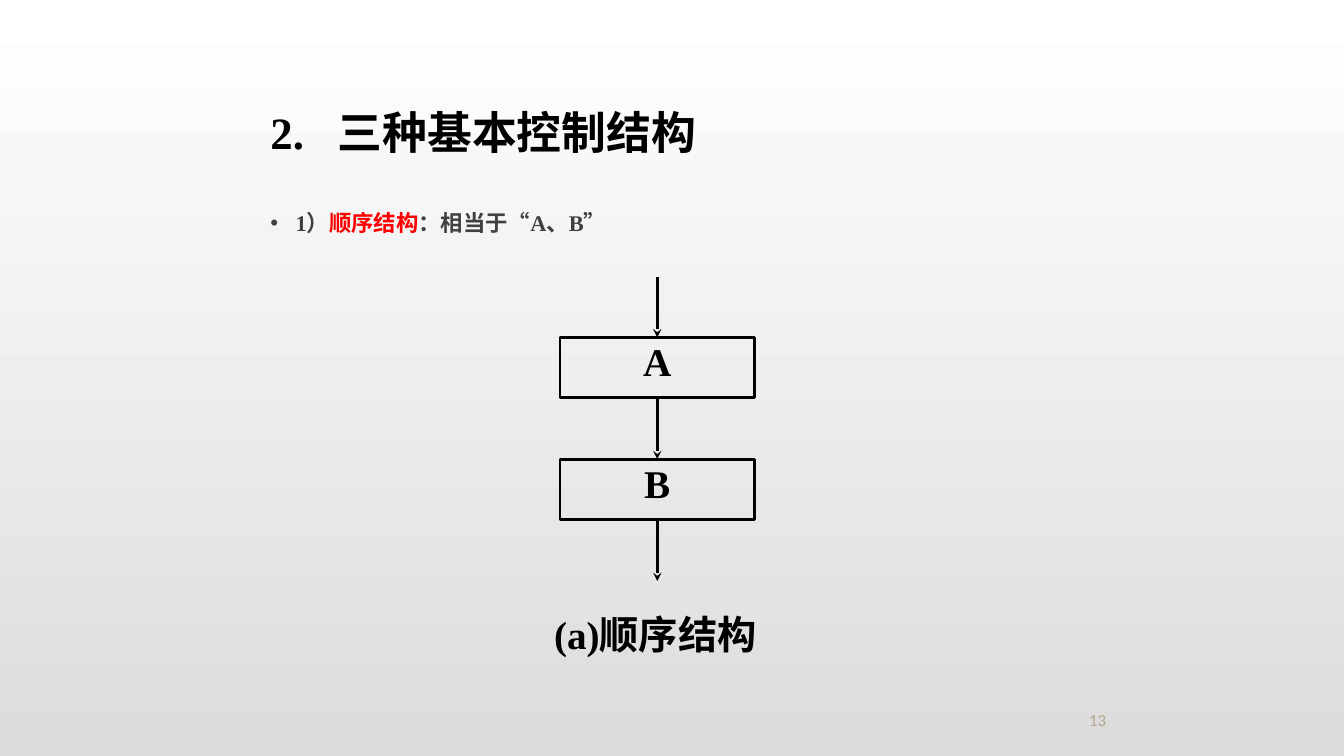
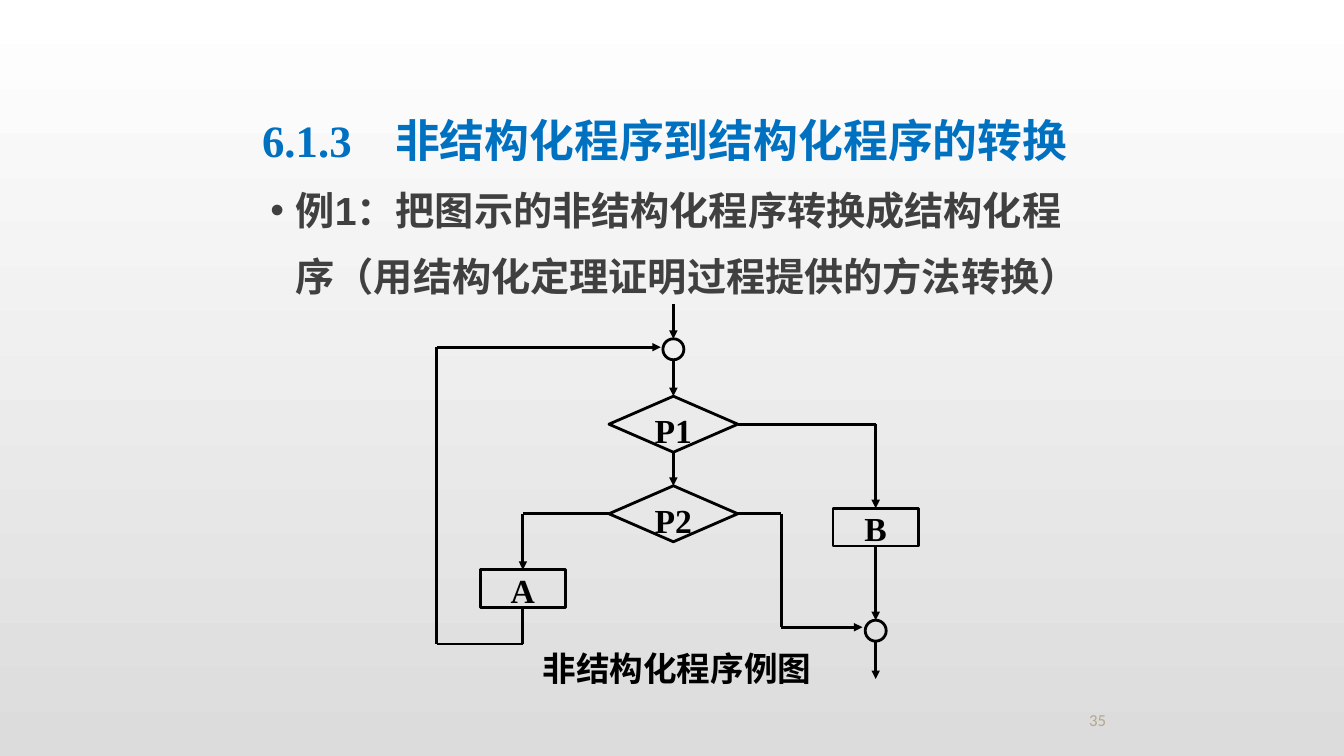
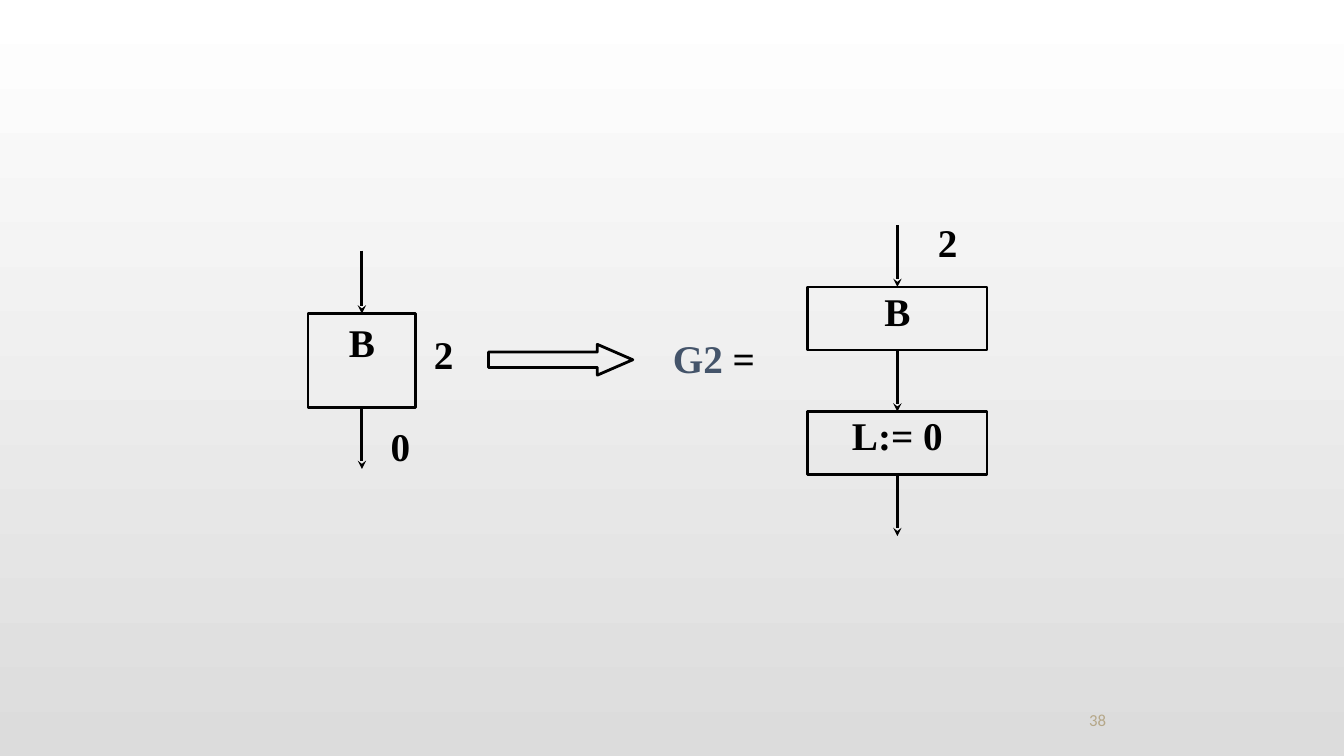
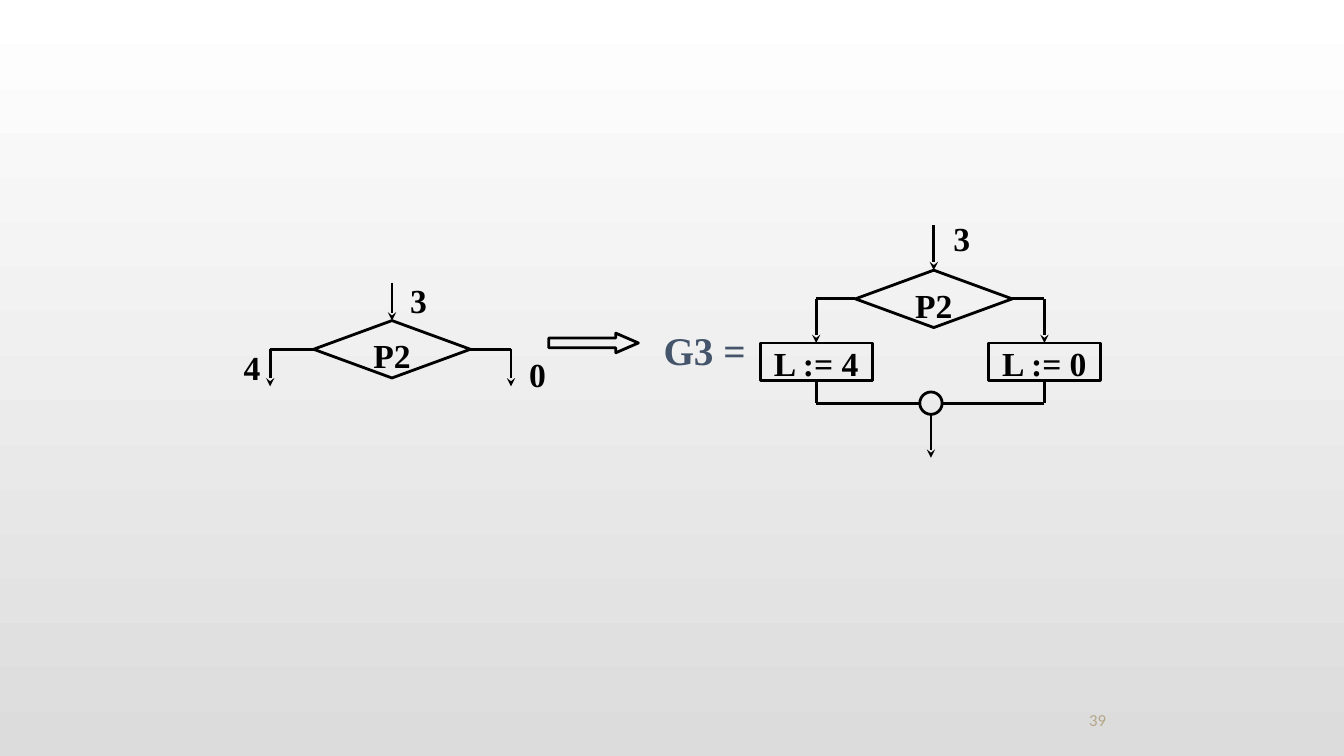
from dataclasses import dataclass, field
from typing import NamedTuple, Optional, Union

from lxml import etree
from pptx import Presentation
from pptx import util as u
from pptx.dml.color import RGBColor
from pptx.enum import shapes, text
from pptx.oxml import ns

Kind = shapes.MSO_SHAPE
Align = text.PP_ALIGN
Anchor = text.MSO_ANCHOR


# Theme: colours, fonts and type sizes
@dataclass(frozen=True)
class Theme:
    ink: str = "000000"
    body: str = "404040"
    red: str = "FF0000"
    blue: str = "0070C0"
    slate: str = "44546A"
    sand: str = "B5A788"
    top: str = "FFFFFF"
    base: str = "DCDCDC"
    serif: str = "Times New Roman"
    sans: str = "Arial"
    han: str = "Noto Sans CJK SC"
    small: str = "Calibri"
    title: int = 32
    big: int = 28
    mid: int = 24
    list: int = 16
    foot: int = 12
    stroke: int = 2


T = Theme()
TOP, LEFT, BOTTOM, RIGHT = range(4)


# Parts of a slide
class Area(NamedTuple):
    x: float
    y: float
    w: float
    h: float


class Run(NamedTuple):
    words: str
    color: str = T.ink
    font: str = T.serif
    bold: bool = True


class Dot(NamedTuple):
    x: float
    y: float


class Pin(NamedTuple):
    node: str
    side: int


End = Union[Dot, Pin]


@dataclass
class Node:
    name: str
    kind: Kind
    area: Area
    words: str = ""
    pad: bool = False
    tip: Optional[float] = None


@dataclass
class Route:
    ends: list[End]
    arrow: bool = True


@dataclass
class Label:
    area: Area
    runs: list[Run]
    align: Align = Align.LEFT
    size: Optional[int] = None


@dataclass
class Head:
    area: Area
    words: str
    color: str
    tab: float


@dataclass
class Item:
    area: Area
    runs: list[Run]
    size: int
    pitch: float


@dataclass
class Page:
    number: int
    nodes: list[Node]
    routes: list[Route]
    labels: list[Label]
    size: int = T.big
    tail: str = "stealth"
    head: Optional[Head] = None
    item: Optional[Item] = None


# Drawing
def tint(code: str) -> RGBColor:
    return RGBColor.from_string(code)


def add_xml(host, tag: str, **attrs: str):
    return etree.SubElement(host, ns.qn(tag), attrs)


def place(shape, area: Area) -> None:
    shape.left, shape.top, shape.width, shape.height = map(u.Pt, area)


def set_frame(frame, pad: bool, anchor: Anchor = Anchor.TOP) -> None:
    frame.word_wrap = True
    frame.auto_size = text.MSO_AUTO_SIZE.NONE
    frame.vertical_anchor = anchor
    frame.margin_left = frame.margin_right = u.Pt(7.2 if pad else 0)
    frame.margin_top = frame.margin_bottom = u.Pt(3.6 if pad else 0)


def write(para, runs: list[Run], size: int, align: Align) -> None:
    para.alignment = align
    for part in runs:
        run = para.add_run()
        run.text = part.words
        font = run.font
        font.size, font.bold, font.name = u.Pt(size), part.bold, part.font
        font.color.rgb = tint(part.color)
        add_xml(run._r.get_or_add_rPr(), "a:ea", typeface=T.han)


def add_node(slide, node: Node, size: int):
    shape = slide.shapes.add_shape(node.kind, *map(u.Pt, node.area))
    shape.shadow.inherit = False
    shape.fill.background()
    shape.line.color.rgb = tint(T.ink)
    shape.line.width = u.Pt(T.stroke)
    if node.tip:
        shape.adjustments[0], shape.adjustments[1] = 0.5, node.tip
    if node.words:
        set_frame(shape.text_frame, node.pad)
        write(shape.text_frame.paragraphs[0], [Run(node.words)], size, Align.CENTER)
    return shape


def add_line(slide, start: End, stop: End, made: dict, tail: str) -> None:
    spots = [end if isinstance(end, Dot) else Dot(0, 0) for end in (start, stop)]
    line = slide.shapes.add_connector(
        shapes.MSO_CONNECTOR.STRAIGHT, *(u.Pt(v) for spot in spots for v in spot))
    for end, join in ((start, line.begin_connect), (stop, line.end_connect)):
        if isinstance(end, Pin):
            join(made[end.node], end.side)
    line.line.color.rgb = tint(T.ink)
    line.line.width = u.Pt(T.stroke)
    props = line._element.spPr
    if tail:
        add_xml(props.find(ns.qn("a:ln")), "a:tailEnd", type=tail)
    add_xml(props, "a:effectLst")


def add_route(slide, route: Route, made: dict, tail: str) -> None:
    pairs = list(zip(route.ends, route.ends[1:]))
    for i, (start, stop) in enumerate(pairs, 1):
        last = route.arrow and i == len(pairs)
        add_line(slide, start, stop, made, tail if last else "")


def add_label(slide, label: Label, size: int, pad: bool = False,
              anchor: Anchor = Anchor.TOP) -> None:
    box = slide.shapes.add_textbox(*map(u.Pt, label.area))
    set_frame(box.text_frame, pad, anchor)
    write(box.text_frame.paragraphs[0], label.runs, label.size or size, label.align)


def add_head(slide, head: Head) -> None:
    shape = slide.shapes.title
    place(shape, head.area)
    set_frame(shape.text_frame, True)
    para = shape.text_frame.paragraphs[0]
    write(para, [Run(head.words, head.color)], T.title, Align.LEFT)
    tabs = add_xml(para._p.get_or_add_pPr(), "a:tabLst")
    add_xml(tabs, "a:tab", pos=str(u.Pt(head.tab)), algn="l")


def add_item(slide, item: Item) -> None:
    shape = slide.placeholders[1]
    place(shape, item.area)
    set_frame(shape.text_frame, True)
    para = shape.text_frame.paragraphs[0]
    para.line_spacing = item.pitch
    para.space_before, para.space_after = u.Pt(0), u.Pt(10)
    write(para, item.runs, item.size, Align.LEFT)
    props = para._p.get_or_add_pPr()
    props.set("marL", str(u.Pt(18)))
    props.set("indent", str(u.Pt(-18)))
    add_xml(add_xml(props, "a:buClr"), "a:srgbClr", val=T.body)
    add_xml(props, "a:buFont", typeface=T.sans)
    add_xml(props, "a:buChar", char="•")


def add_page(deck, page: Page) -> None:
    slide = deck.slides.add_slide(deck.slide_layouts[1 if page.head else 6])
    if page.head:
        add_head(slide, page.head)
    if page.item:
        add_item(slide, page.item)
    made = {node.name: add_node(slide, node, page.size) for node in page.nodes}
    for route in page.routes:
        add_route(slide, route, made, page.tail)
    for label in page.labels:
        add_label(slide, label, page.size)
    mark = Run(str(page.number), T.sand, T.small, False)
    foot = Label(Area(678, 500, 212, 25), [mark], Align.CENTER)
    add_label(slide, foot, T.foot, True, Anchor.BOTTOM)


def set_back(deck) -> None:
    fill = deck.slide_master.background.fill
    fill.gradient()
    fill.gradient_angle = 270
    for stop, code, spot in zip(fill.gradient_stops, (T.top, T.base), (0, 1)):
        stop.color.rgb = tint(code)
        stop.position = spot


# Repeated forms
def rect(name: str, x: float, y: float, w: float, h: float, words: str = "",
         pad: bool = False) -> Node:
    return Node(name, Kind.RECTANGLE, Area(x, y, w, h), words or name, pad)


def test(name: str, x: float, y: float, w: float, h: float, words: str = "") -> Node:
    return Node(name, Kind.FLOWCHART_DECISION, Area(x, y, w, h), words or name)


def ring(name: str, x: float, y: float, size: float) -> Node:
    return Node(name, Kind.OVAL, Area(x, y, size, size))


def block(x: float, y: float, w: float, h: float, tip: float) -> Node:
    return Node("block", Kind.RIGHT_ARROW, Area(x, y, w, h), tip=tip)


def chain(names: list[str], x: float, start: float, stop: float) -> list[Route]:
    """Arrows into, between and out of stacked boxes."""
    first, last = Dot(x, start), Dot(x, stop)
    outs = [first] + [Pin(name, BOTTOM) for name in names]
    ins = [Pin(name, TOP) for name in names] + [last]
    return [Route([a, b]) for a, b in zip(outs, ins)]


def digit(words: str, x: float, y: float) -> Label:
    return Label(Area(x, y, 50, 30), [Run(words)])


# Slide content
def order() -> Page:
    return Page(
        13,
        [rect(name, 400, 241 + 87 * i, 139, 43) for i, name in enumerate("AB")],
        chain(["A", "B"], 469.5, 198, 415),
        [Label(Area(312, 436, 312, 43), [Run("(a)顺序结构")], Align.CENTER)],
        head=Head(Area(186, 71, 414, 46), "2.\t三种基本控制结构", T.ink, 48),
        item=Item(Area(186, 140, 462, 57),
                  [Run("1）", T.body), Run("顺序结构", T.red),
                   Run("：相当于“A、B”", T.body)], T.list, 1.3))


def loop() -> Page:
    mid, a, b, turn, far = 481, 373.5, 625.5, 558, 312
    return Page(
        35,
        [ring("join", mid - 7.5, 242, 15), ring("exit", b - 7.5, 443, 15),
         test("P1", 435, 283, 92, 40), test("P2", 435, 347, 92, 40),
         rect("A", 343, 407, 61, 27), rect("B", 595, 363, 61, 27)],
        [Route([Dot(mid, 217), Dot(mid, 242)]),
         Route([Dot(mid, 257), Pin("P1", TOP)]),
         Route([Pin("P1", BOTTOM), Pin("P2", TOP)]),
         Route([Pin("P2", LEFT), Dot(a, 367), Pin("A", TOP)]),
         Route([Pin("P2", RIGHT), Dot(turn, 367), Dot(turn, 448), Dot(616, 448)]),
         Route([Pin("P1", RIGHT), Dot(b, 303), Pin("B", TOP)]),
         Route([Pin("B", BOTTOM), Dot(b, 443)]),
         Route([Dot(b, 458), Dot(b, 485)]),
         Route([Pin("A", BOTTOM), Dot(a, 460), Dot(far, 460), Dot(far, 248),
                Dot(472, 248)])],
        [Label(Area(384, 463, 199, 27), [Run("非结构化程序例图")], Align.CENTER)],
        size=T.mid, tail="triangle",
        head=Head(Area(180, 77, 600, 46), "6.1.3\t非结构化程序到结构化程序的转换",
                  T.blue, 95),
        item=Item(Area(186, 116, 600, 114),
                  [Run("例", T.body, T.han), Run("1", T.body, T.sans),
                   Run("：把图示的非结构化程序转换成结构化程序（用结构化定理证明过程提供的方法转换）",
                       T.body, T.han)], T.big, 1.4))


def step() -> Page:
    return Page(
        38,
        [rect("B", 220, 224, 77, 67, pad=True), block(349, 246, 103, 22, 1.15),
         rect("B2", 577, 205, 128, 45, "B"), rect("L", 577, 294, 128, 45, "L:= 0")],
        chain(["B"], 258.5, 179, 335) + chain(["B2", "L"], 641, 161, 383),
        [Label(Area(446, 239, 128, 48), [Run("G2", T.slate), Run(" =")], Align.CENTER),
         digit("2", 310, 236), digit("2", 670, 156), digit("0", 279, 302)])


def branch() -> Page:
    left, right, exit = 583, 746, 665
    arms = [Route([Pin("P2", side), Dot(x, 249.5), Dot(x, 276)])
            for side, x in ((LEFT, 193), (RIGHT, 365))]
    for side, x, name, edge in ((LEFT, left, "L4", 657), (RIGHT, right, "L0", 673)):
        arms += [Route([Pin("G3", side), Dot(x, 213.5), Pin(name, TOP)]),
                 Route([Pin(name, BOTTOM), Dot(x, 288), Dot(edge, 288)], False)]
    return Page(
        39,
        [test("P2", 224, 229, 112, 41), block(392, 238, 64, 14, 1.15),
         test("G3", 611, 193, 112, 41, "P2"), ring("join", 657, 280, 16),
         rect("L4", 543, 245, 80, 27, "L := 4"),
         rect("L0", 706, 245, 80, 27, "L := 0")],
        [Route([Dot(280, 202), Pin("P2", TOP)]),
         Route([Dot(667, 161), Pin("G3", TOP)]),
         Route([Dot(exit, 296), Dot(exit, 327)])] + arms,
        [Label(Area(474, 233, 69, 55), [Run("G3 =", T.slate)], size=T.big),
         digit("4", 174, 248), digit("0", 378, 253),
         digit("3", 293, 200), digit("3", 681, 156)],
        size=T.mid)


def main() -> None:
    deck = Presentation()
    deck.slide_width, deck.slide_height = u.Pt(960), u.Pt(540)
    set_back(deck)
    for page in (order(), loop(), step(), branch()):
        add_page(deck, page)
    deck.save("out.pptx")


if __name__ == "__main__":
    main()
